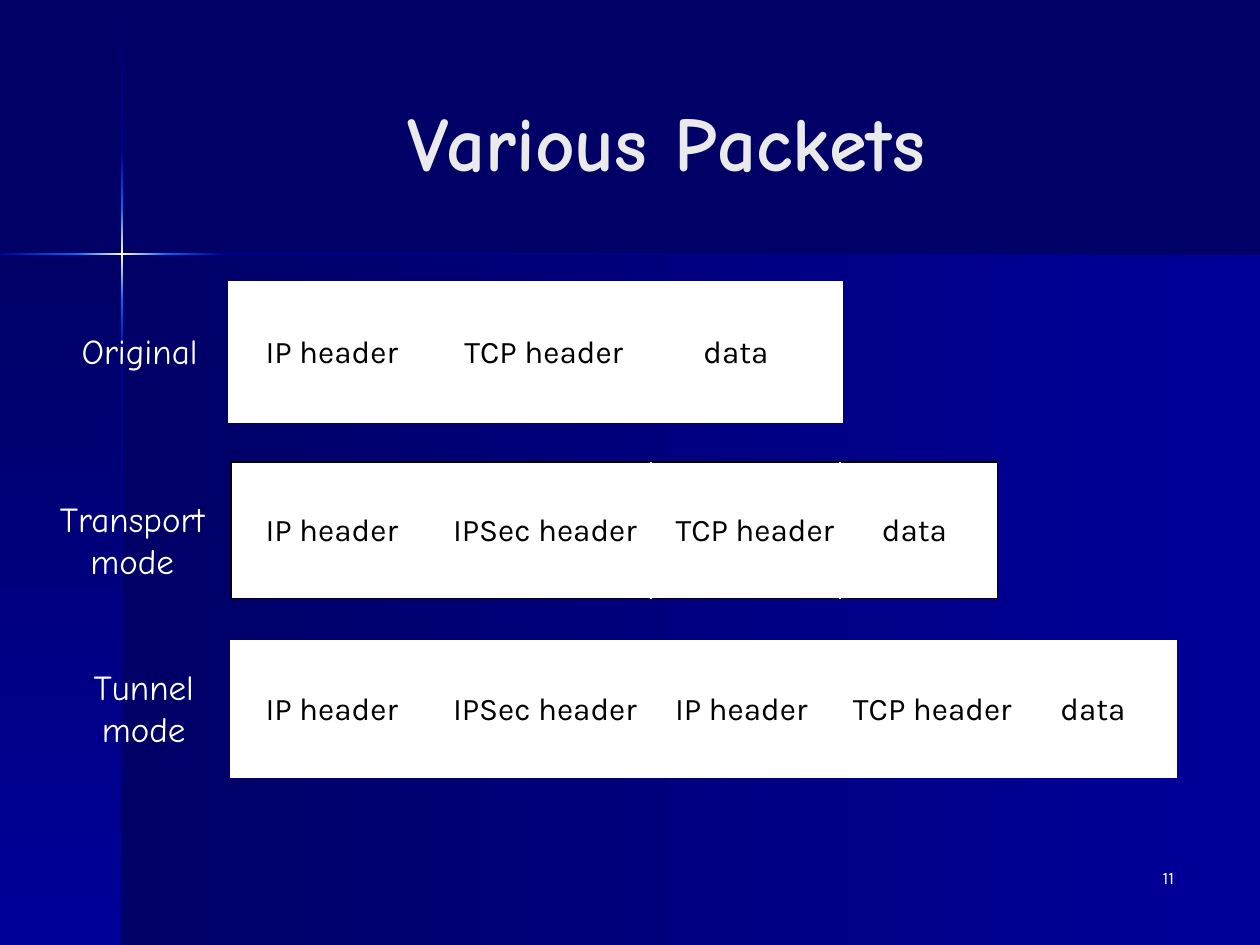
from lxml.etree import SubElement
from pptx import Presentation
from pptx.dml.color import RGBColor
from pptx.enum.shapes import MSO_CONNECTOR, MSO_SHAPE
from pptx.enum.text import MSO_ANCHOR, PP_ALIGN
from pptx.oxml.ns import qn
from pptx.util import Inches, Pt

hue = RGBColor.from_string
deck = Presentation()
deck.slide_width, deck.slide_height = Inches(10), Inches(7.5)
unit = deck.slide_width / 120  # grid of 120 columns by 90 rows
slide = deck.slides.add_slide(deck.slide_layouts[5])
slide.background.fill.solid()
slide.background.fill.fore_color.rgb = hue("000066")


def grid(*cells):
    return [round(cell * unit) for cell in cells]


def write(shape, text, font, size, color, align=PP_ALIGN.CENTER, bold=False):
    shape.text_frame.text = text
    for par in shape.text_frame.paragraphs:
        par.alignment = align
        par.font.name, par.font.size, par.font.bold = font, Pt(size), bold
        par.font.color.rgb = hue(color)


# Backdrop: two panels, then a cross of light built from bands
midx, midy, thin = 11.64, 24.2, 0.2
bands = [
    (midx, midy, 120 - midx, 90 - midy, "000066", "000099", 0),
    (0, midy, midx, 90 - midy, "000066", "000099", 270),
]
down = [(0, "000066"), (14.5, "000099"), (19.8, "0066FF"), (midy, "FFFFCC"),
        (28.6, "0066FF"), (33.8, "000099"), (90, "000066")]
across = [(0, "000099"), (7.25, "0066FF"), (midx, "FFFFCC"),
          (16, "0066FF"), (21.2, "000099"), (120, "000066")]
for (top, first), (end, last) in zip(down, down[1:]):
    bands.append((midx - thin / 2, top, thin, end - top, first, last, 270))
for (left, first), (end, last) in zip(across, across[1:]):
    bands.append((left, midy - thin / 2, end - left, thin, first, last, 0))
for *cells, first, last, angle in bands:
    band = slide.shapes.add_shape(MSO_SHAPE.RECTANGLE, *grid(*cells))
    band.shadow.inherit = False
    band.line.fill.background()
    band.fill.gradient()
    band.fill.gradient_angle = angle
    for stop, color in zip(band.fill.gradient_stops, (first, last)):
        stop.color.rgb = hue(color)

# Title
title = slide.shapes.title
title.left, title.top, title.width, title.height = grid(14, 4, 99, 18.8)
write(title, "Various Packets", "Comic Neue", 44, "EAEAEA", bold=True)
title.text_frame.vertical_anchor = MSO_ANCHOR.MIDDLE

# Packets: name, its centre, width, edge, dividers, fields with centres
packets = [
    ("Original", 13.3, 58, "FFFFFF", 3, [41],
     [("IP header", 31.6), ("TCP header", 51.8), ("data", 70.1)]),
    ("Transport\nmode", 12.6, 73, "000000", 0.75, [62, 80],
     [("IP header", 31.6), ("IPSec header", 51.9), ("TCP header", 71.9),
      ("data", 87.1)]),
    ("Tunnel\nmode", 13.7, 90, "FFFFFF", 0.75, [41, 62, 80, 98],
     [("IP header", 31.6), ("IPSec header", 51.9), ("IP header", 70.6),
      ("TCP header", 88.8), ("data", 104.1)]),
]
start, tall, broad = 22, 13, 18
for row, (name, mid, wide, edge, weight, cuts, fields) in enumerate(packets):
    top = 27 + 17 * row
    box = slide.shapes.add_shape(
        MSO_SHAPE.RECTANGLE, *grid(start, top, wide, tall))
    box.shadow.inherit = False
    box.fill.solid()
    box.fill.fore_color.rgb = hue("FFFFFF")
    box.line.color.rgb = hue(edge)
    box.line.width = Pt(weight)
    # Square corners
    SubElement(box._element.spPr.find(qn("a:ln")), qn("a:miter"), lim="800000")
    for cut in cuts:
        rule = slide.shapes.add_connector(
            MSO_CONNECTOR.STRAIGHT, *grid(cut, top, cut, top + tall))
        rule.line.color.rgb = hue("FFFFFF")
        rule.line.width = Pt(0.75)
        SubElement(rule._element.spPr, qn("a:effectLst"))
    for text, center in fields:
        span = 6 + 1.25 * len(text)
        field = slide.shapes.add_textbox(
            *grid(center - span / 2, top + 4, span, 4.8))
        write(field, text, "Karla", 18, "000000")
    label = slide.shapes.add_textbox(
        *grid(mid - broad / 2, 30.8 + 16 * row, broad,
              5.3 if row == 0 else 9.2))
    write(label, name, "Comic Neue", 20, "FFFFFF")

# Page number
page = slide.shapes.add_textbox(*grid(88, 82, 25, 6))
page.text_frame.word_wrap = True
write(page, "11", "Karla", 10, "FFFFFF", PP_ALIGN.RIGHT)

deck.save("out.pptx")
